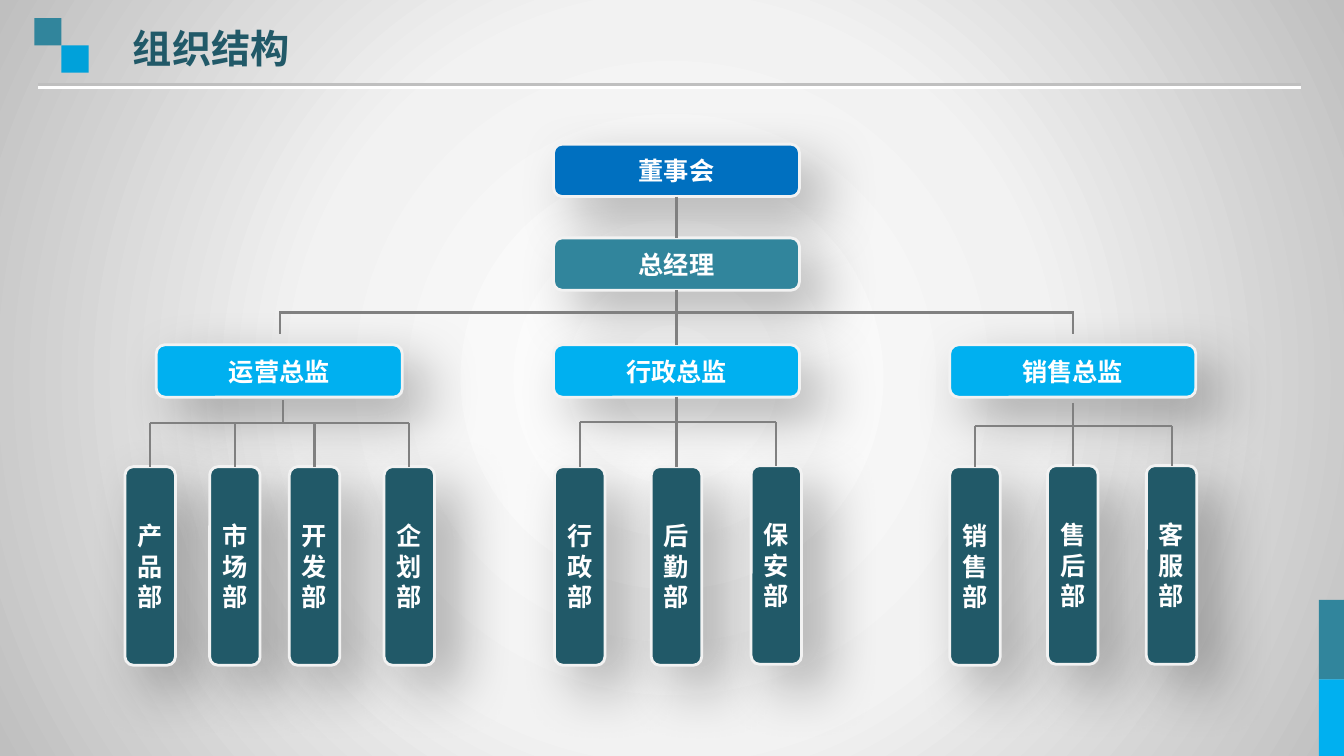
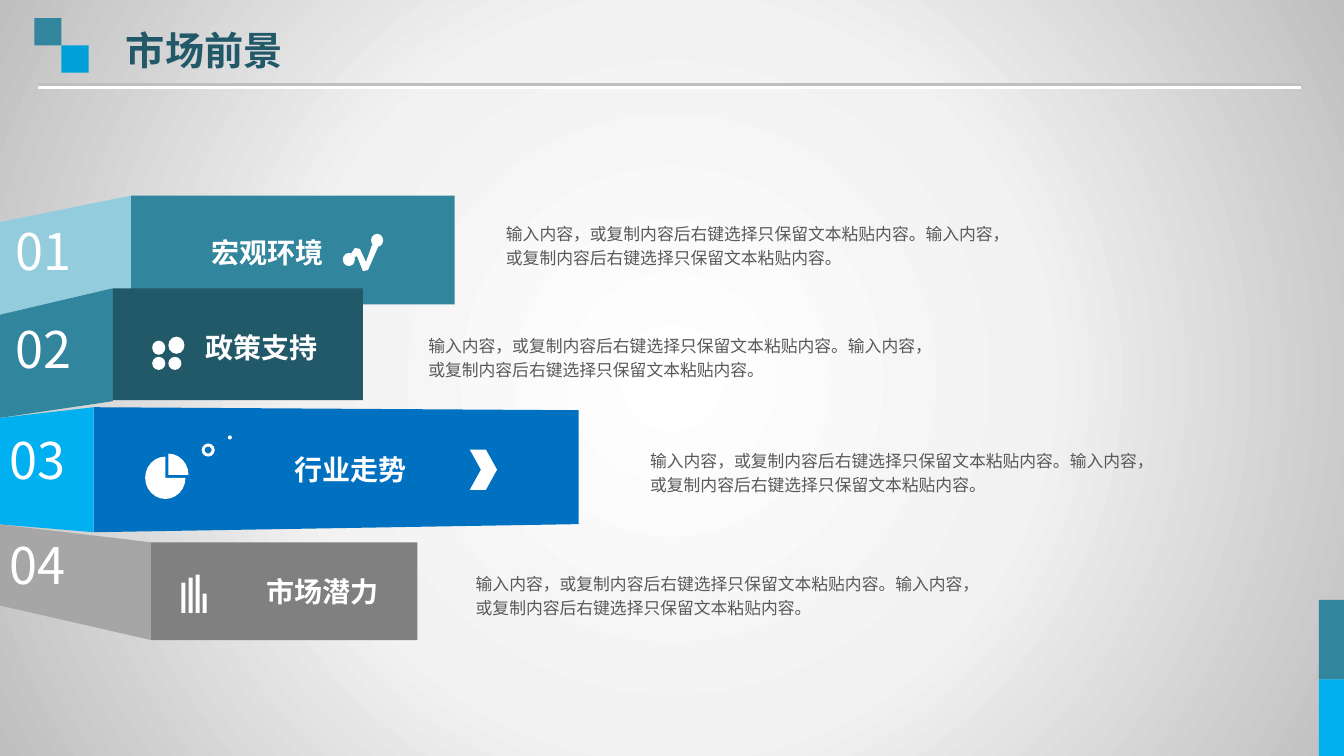
from lxml import etree
from pptx import Presentation
from pptx import util as u
from pptx.dml.color import RGBColor
from pptx.enum import shapes, text
from pptx.oxml import parse_xml
from pptx.oxml.ns import nsdecls, qn

PX = 9144  # 100 px to the inch
WIDE, HIGH = 1333, 750
FONT = "Noto Sans CJK SC"

WHITE = RGBColor(0xFF, 0xFF, 0xFF)
PALE = RGBColor(0xF2, 0xF2, 0xF2)
SILVER = RGBColor(0xBF, 0xBF, 0xBF)
ASH = RGBColor(0xA6, 0xA6, 0xA6)
GRAY = RGBColor(0x80, 0x80, 0x80)
INK = RGBColor(0x59, 0x59, 0x59)
DEEP = RGBColor(0x21, 0x59, 0x68)
TEAL = RGBColor(0x31, 0x85, 0x9C)
MIST = RGBColor(0x93, 0xCD, 0xDD)
SKY = RGBColor(0x00, 0xB0, 0xF0)
CYAN = RGBColor(0x00, 0xA1, 0xDA)
BLUE = RGBColor(0x00, 0x70, 0xC0)

KIND = shapes.MSO_SHAPE
HEAD = dict(size=u.Pt(28), bold=True, color=DEEP)
NODE = dict(size=u.Pt(18), bold=True, color=WHITE)
DIGIT = dict(size=u.Pt(36), color=WHITE)
LABEL = dict(size=u.Pt(20), bold=True, color=WHITE)
BODY = dict(size=u.Pt(12), color=INK)

# Shadows: colour, opacity %, blur pt, distance pt, angle
SOFT = (RGBColor(0, 0, 0), 31, 41, 22, 45)
EDGE = (WHITE, 100, 0, 2, 90)

NOTE = "输入内容，或复制内容后右键选择只保留文本粘贴内容。" * 2


def px(*vals):
    return [round(v * PX) for v in vals]


# Basic elements
def shade(item, spec):
    """Add an outer shadow to the item's effect list."""
    color, alpha, blur, dist, angle = spec
    item.element.spPr.find(qn("a:effectLst")).append(parse_xml(
        f'<a:outerShdw {nsdecls("a")} blurRad="{u.Pt(blur)}" dist="{u.Pt(dist)}" '
        f'dir="{angle * 60000}" algn="tl" rotWithShape="0"><a:srgbClr val="{color}">'
        f'<a:alpha val="{alpha * 1000}"/></a:srgbClr></a:outerShdw>'))


def write(frame, words, style, **para):
    line = frame.paragraphs[0]
    for key, val in para.items():
        setattr(line, key, val)
    run = line.add_run()
    run.text = words
    for key, val in dict(style, name=FONT).items():
        if key == "color":
            run.font.color.rgb = val
        else:
            setattr(run.font, key, val)
    etree.SubElement(run.font._element, qn("a:ea"), typeface=FONT)


def paint(item, fill):
    item.shadow.inherit = False
    item.fill.solid()
    item.fill.fore_color.rgb = fill
    item.line.fill.background()
    return item


def shape(slide, kind, at, fill, *adjust):
    item = slide.shapes.add_shape(kind, *px(*at))
    for i, val in enumerate(adjust):
        item.adjustments[i] = val
    return paint(item, fill)


def poly(slide, points, fill):
    path = slide.shapes.build_freeform(*points[0], scale=PX)
    path.add_line_segments(points[1:], close=True)
    return paint(path.convert_to_shape(), fill)


def label(slide, at, words, style, wrap=True, **para):
    frame = slide.shapes.add_textbox(*px(*at)).text_frame
    frame.word_wrap = wrap
    write(frame, words, style, **para)


def line(slide, start, end, color=GRAY, width=1.5):
    """Draw a line; an end is a point or a (box, side) pair to join."""
    spots = [(0, 0) if hasattr(p[0], "shape_id") else p for p in (start, end)]
    item = slide.shapes.add_connector(
        shapes.MSO_CONNECTOR.STRAIGHT, *px(*spots[0], *spots[1]))
    for join, p in ((item.begin_connect, start), (item.end_connect, end)):
        if hasattr(p[0], "shape_id"):
            join(*p)
    item.line.color.rgb = color
    item.line.width = u.Pt(width)
    etree.SubElement(item.element.spPr, qn("a:effectLst"))
    return item


def node(slide, at, words, fill):
    item = shape(slide, KIND.ROUNDED_RECTANGLE, at, fill)
    item.line.color.rgb = PALE
    item.line.width = u.Pt(2)
    shade(item, SOFT)
    item.text_frame.word_wrap = True
    item.text_frame.vertical_anchor = text.MSO_ANCHOR.MIDDLE
    write(item.text_frame, words, NODE, alignment=text.PP_ALIGN.CENTER)
    return item


# Shared look, kept on the layout
def dress(layout, slide):
    layout.background.fill.solid()
    back = layout.element.find(".//" + qn("p:bgPr"))
    stops = "".join(f'<a:gs pos="{pos}000"><a:srgbClr val="{color}"/></a:gs>'
                    for pos, color in ((0, WHITE), (48, PALE), (100, SILVER)))
    back.replace(back[0], parse_xml(
        f'<a:gradFill {nsdecls("a")} rotWithShape="1"><a:gsLst>{stops}</a:gsLst>'
        '<a:path path="circle"><a:fillToRect l="50000" t="50000" r="50000" '
        'b="50000"/></a:path></a:gradFill>'))
    for spot in list(layout.placeholders):
        spot.element.getparent().remove(spot.element)
    for at, fill in (((1308, 595, 25, 79), TEAL), ((1308, 674, 25, 76), SKY),
                     ((34, 18, 27, 27), TEAL), ((61, 45, 27, 27), CYAN)):
        shape(slide, KIND.RECTANGLE, at, fill)
    shade(line(slide, (38, 84), (1290, 84), SILVER, 2.25), EDGE)
    for item in list(slide.shapes):
        layout.shapes.element.append(item.element)


# Organisation chart: director, left, stem x, bar y, departments (left, top, name)
TEAMS = (
    ("运营总监", 155, 281, 420, ((124, 463, "产品部"), (208, 463, "市场部"),
                             (287, 463, "开发部"), (381, 463, "企划部"))),
    ("行政总监", 549, 671, 419, ((550, 463, "行政部"), (646, 463, "后勤部"),
                             (745, 462, "保安部"))),
    ("销售总监", 942, 1064, 423, ((942, 463, "销售部"), (1039, 462, "售后部"),
                              (1137, 462, "客服部"))),
)


def chart(slide):
    label(slide, (122, 19, 291, 57), "组织结构", HEAD)
    board = node(slide, (549, 143, 244, 52), "董事会", BLUE)
    chief = node(slide, (549, 236, 244, 52), "总经理", TEAL)
    heads = [node(slide, (x, 342, 244, 52), name, SKY) for name, x, *_ in TEAMS]
    units = [[node(slide, (x, y, 50, 197), name, DEEP) for x, y, name in team[-1]]
             for team in TEAMS]

    # Lines between the upper levels
    line(slide, (board, 2), (chief, 0))
    line(slide, (chief, 2), (heads[1], 0))
    line(slide, (278, 310), (1064, 310))
    for x in (278, 1064):
        line(slide, (x, 309), (x, 331))

    # Lines from directors to departments
    for (_, _, stem, bar, depts), head, group in zip(TEAMS, heads, units):
        top = (head, 2) if head is heads[1] else (stem, bar - 23)
        line(slide, top, (stem, bar))
        mids = [x + 25 for x, *_ in depts]
        line(slide, (mids[0], bar), (mids[-1], bar))
        for mid, unit in zip(mids, group):
            line(slide, (mid, bar), (unit, 0))


# Icons of the market rows
def trend(slide):
    poly(slide, ((346, 259), (348, 252), (352, 246), (357, 247), (363, 260),
                 (369, 243), (375, 245), (365, 268), (360, 269), (354, 254)), WHITE)
    for at in ((368, 232, 12, 13), (340, 251, 12, 13)):
        shape(slide, KIND.OVAL, at, WHITE)


def dots(slide):
    for at in ((151, 338, 13, 14), (167, 334, 16, 17),
               (151, 354, 13, 13), (167, 354, 13, 13)):
        shape(slide, KIND.OVAL, at, WHITE)


def pie(slide):
    shape(slide, KIND.CHEVRON, (466, 446, 27, 40), WHITE, 0.41)
    shape(slide, KIND.DONUT, (200, 440, 13, 13), WHITE, 0.23)
    shape(slide, KIND.OVAL, (226, 432, 4, 4), WHITE)
    shape(slide, KIND.PIE, (144, 453, 40, 42), WHITE, 0, 162)
    shape(slide, KIND.PIE, (147, 450, 40, 42), WHITE, 162, 0)


def bars(slide):
    for i, tall in enumerate((30, 35, 38, 19)):
        shape(slide, KIND.RECTANGLE, (180 + 7 * i, 608 - tall, 4, tall), WHITE)


# Market rows: number and its place, side outline and fill,
# panel (box or outline) and fill, icon, name and its place, note place
ROWS = (
    ("01", (6, 213), ((130, 302), (-3, 313), (-3, 221), (130, 194)), MIST,
     (130, 194, 321, 108), TEAL, trend, "宏观环境", (200, 229), (492, 213)),
    ("02", (6, 311), ((-3, 313), (112, 286), (112, 398), (-3, 415)), TEAL,
     (112, 286, 248, 111), DEEP, dots, "政策支持", (194, 323), (415, 324)),
    ("03", (0, 421), ((-3, 415), (93, 404), (93, 528), (-3, 520)), SKY,
     ((574, 520), (93, 528), (93, 404), (574, 407)), BLUE, pie,
     "行业走势", (282, 444), (635, 438)),
    ("04", (0, 525), ((-3, 520), (150, 538), (150, 635), (-3, 600)), ASH,
     (150, 538, 264, 97), GRAY, bars, "市场潜力", (254, 565), (462, 560)),
)


def market(slide):
    label(slide, (115, 21, 291, 57), "市场前景", HEAD)
    for num, spot, side, tint, panel, fill, icon, name, place, note in ROWS:
        poly(slide, side, tint)
        if isinstance(panel[0], tuple):
            poly(slide, panel, fill)
        else:
            shape(slide, KIND.RECTANGLE, panel, fill)
        icon(slide)
        label(slide, (*spot, 105, 87), num, DIGIT)
        label(slide, (*place, 132, 44), name, LABEL, wrap=False)
        label(slide, (*note, 520, 83), NOTE, BODY, line_spacing=1.2)


def main():
    deck = Presentation()
    deck.slide_width, deck.slide_height = px(WIDE, HIGH)
    blank = deck.slide_layouts[6]
    first, second = (deck.slides.add_slide(blank) for _ in range(2))
    dress(blank, first)
    chart(first)
    market(second)
    deck.save("out.pptx")


if __name__ == "__main__":
    main()
